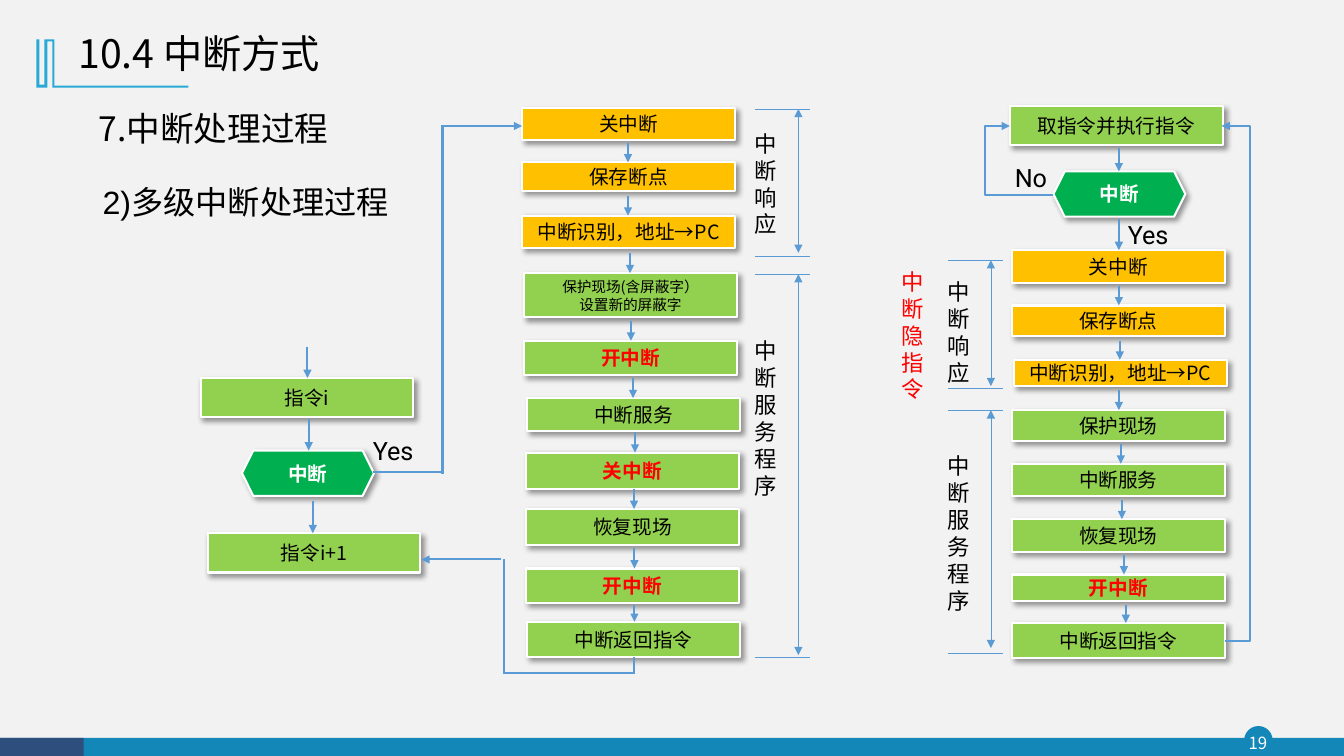
"""Builds a slide with flowcharts of multi-level interrupt handling."""
from lxml import etree
from pptx import Presentation
from pptx import util as u
from pptx.dml.color import RGBColor
from pptx.enum import shapes, text
from pptx.oxml import ns

BLACK, WHITE = RGBColor(0, 0, 0), RGBColor(255, 255, 255)
RED, ORANGE = RGBColor(255, 0, 0), RGBColor(0xFF, 0xC0, 0)
LIME, GREEN = RGBColor(0x92, 0xD0, 0x50), RGBColor(0, 0xB0, 0x50)
ARROW_BLUE, SKY = RGBColor(0x5B, 0x9B, 0xD5), RGBColor(0x28, 0xA9, 0xD6)
TEAL, NAVY = RGBColor(0x13, 0x87, 0xB7), RGBColor(0x2E, 0x4E, 0x7E)
PAPER = RGBColor(0xF2, 0xF2, 0xF2)
CJK, CJK_JP = "Noto Sans CJK SC", "Noto Sans CJK JP"
RECT, HEXAGON = shapes.MSO_SHAPE.RECTANGLE, shapes.MSO_SHAPE.HEXAGON
OVAL = shapes.MSO_SHAPE.OVAL

STYLES = {
    "respond": (RECT, 152, ORANGE, BLACK, {"size": u.Pt(14)}),
    "serve": (RECT, 152, LIME, BLACK, {"size": u.Pt(14)}),
    "switch": (RECT, 152, LIME, RED, {"size": u.Pt(14), "bold": True}),
    "mask": (RECT, 152, LIME, BLACK, {"size": u.Pt(10.5)}),
    "test": (HEXAGON, 94.3, GREEN, WHITE, {"size": u.Pt(14), "bold": True}),
}

# style, label, left, top, height, x of the arrow into the step, arrow length
STEPS = [
    ("serve", "指令i", 143.3, 270, 28.1, 219.6, 22.3),
    ("test", "中断", 172.8, 321.8, 32.4, 220.5, 22.3),
    ("serve", "指令i+1", 148.3, 380.9, 28.1, 223.5, 23),
    ("respond", "关中断", 373, 77, 23, None, 0),
    ("respond", "保存断点", 373, 116, 20.2, 448.6, 13.7),
    ("respond", "中断识别，地址→PC", 373, 154.1, 23, 448.6, 14.4),
    ("mask", "保护现场(含屏蔽字）\n设置新的屏蔽字", 374.4, 195.1, 31.7, 450, 14.4),
    ("switch", "开中断", 374.4, 243.4, 24.5, 450.7, 14.4),
    ("serve", "中断服务", 376.6, 284.4, 23.8, 452.2, 14.4),
    ("switch", "关中断", 375.8, 323.3, 25.9, 453.6, 14.4),
    ("serve", "恢复现场", 375.8, 363.6, 25.9, 452.9, 14.4),
    ("switch", "开中断", 375.8, 406.1, 24.5, 453.2, 14.4),
    ("serve", "中断返回指令", 376.6, 444.2, 25.2, 453.2, 12.2),
    ("serve", "取指令并执行指令", 721.4, 75.6, 28.1, None, 0),
    ("test", "中断", 752.4, 122.4, 32.4, 799.2, 16.6),
    ("respond", "关中断", 722.9, 178.6, 23.8, 799.2, 22),
    ("respond", "保存断点", 722.9, 218.2, 21.6, 799.2, 14),
    ("respond", "中断识别，地址→PC", 724.3, 257, 18.7, 799.9, 13.7),
    ("serve", "保护现场", 722.9, 293, 22.3, 799.2, 14.4),
    ("serve", "中断服务", 722.9, 331.2, 23, 800.6, 13.7),
    ("serve", "恢复现场", 722.9, 370.8, 23.8, 801.4, 14),
    ("switch", "开中断", 722.9, 410.4, 18.7, 802.8, 14),
    ("serve", "中断返回指令", 722.9, 445, 25.2, 804.2, 13),
]

# label, left, top, width, height, font name, size, colour
LABELS = [
    ("7.中断处理过程", 63.4, 73.4, 205.9, 36, CJK_JP, 24, BLACK),
    ("2)多级中断处理过程", 66.2, 126.7, 241.2, 35.3, "Arial", 23, BLACK),
    ("Yes", 259.2, 307.4, 58.3, 28.8, "Roboto", 18, BLACK),
    ("Yes", 798.5, 153.4, 58.3, 28.8, "Roboto", 18, BLACK),
    ("No", 717.8, 112.3, 45.4, 28.8, "Roboto", 18, BLACK),
    ("中断\n响应", 532.1, 89.3, 33.8, 85, CJK, 16, BLACK),
    ("中断\n服务程序", 532.1, 237.6, 33.8, 194.4, CJK, 16, BLACK),
    ("中断\n响应", 669.6, 195.1, 33.8, 84.2, CJK, 16, BLACK),
    ("中断隐指令", 637.2, 187.9, 33.8, 103.2, CJK, 16, RED),
    ("中断\n服务程序", 669.6, 319.7, 33.8, 123.8, CJK, 16, BLACK),
]

# left, top rule, bottom rule, arrow end
BRACKETS = [(539.3, 77.8, 182.9, 180.7), (539.3, 195.8, 469.4, 468),
            (676.8, 185.8, 277.2, 275.8), (676.8, 293, 466.6, 463)]

# corner points, arrow on the last leg
ROUTES = [
    [(266.4, 337), (316.1, 337)],
    [(316.1, 338.4), (316.1, 89.3)],
    [(316.1, 90), (373, 90), "arrow"],
    [(452.9, 469.4), (452.9, 481.7)],
    [(453.6, 481), (360, 481)],
    [(360, 481.7), (360, 399.6)],
    [(357.8, 399.6), (301, 399.6), "arrow"],
]
# start, end, x of the middle leg
LOOPS = [((874.8, 457.9), (872.6, 90), 892.8), ((752.4, 139), (721.4, 90), 703.4)]

ORNAMENT = [(38.9, 28.1), (38.9, 61.2), (134.6, 61.2), (134.6, 62.6), (37.4, 62.6),
            (37.4, 29.5), (33.8, 29.5), (33.8, 62.6), (25.9, 62.6), (25.9, 28.1),
            (28.1, 28.1), (28.1, 60.5), (31.7, 60.5), (31.7, 28.1)]


def add_child(parent, tag, **values):
    child = etree.SubElement(parent, ns.qn(tag))
    for name, value in values.items():
        child.set(name, str(value))
    return child


def write(box, words, color, name=CJK, align=text.PP_ALIGN.LEFT,
          anchor=text.MSO_ANCHOR.TOP, inset=7.2, spacing=None, **formats):
    frame = box.text_frame
    settings = {"word_wrap": True, "vertical_anchor": anchor,
                "margin_left": u.Pt(inset), "margin_right": u.Pt(inset),
                "margin_top": u.Pt(inset / 2), "margin_bottom": u.Pt(inset / 2)}
    for key, value in settings.items():
        setattr(frame, key, value)
    for index, line in enumerate(words.split("\n")):
        para = frame.add_paragraph() if index else frame.paragraphs[0]
        para.alignment = align
        para.line_spacing = spacing or u.Pt(round(formats["size"].pt * 1.2, 1))
        span = para.add_run()
        span.text = line
        for key, value in {"name": name, **formats}.items():
            setattr(span.font, key, value)
        span.font.color.rgb = color
        east = CJK if name in ("Arial", "Roboto") else name
        add_child(span._r.get_or_add_rPr(), "a:ea", typeface=east)


def paint(shape, fill, line=None, width=1):
    shape.shadow.inherit = False
    shape.fill.solid()
    shape.fill.fore_color.rgb = fill
    if line is None:
        shape.line.fill.background()
    else:
        shape.line.color.rgb = line
        shape.line.width = u.Pt(width)


def add_shape(page, kind, bounds, fill, line=None, width=1):
    shape = page.shapes.add_shape(kind, *map(u.Pt, bounds))
    paint(shape, fill, line, width)
    return shape


def add_line(page, start, end, width=1.5, head=False, tail=False, middle=None):
    kind = shapes.MSO_CONNECTOR.STRAIGHT if middle is None else shapes.MSO_CONNECTOR.ELBOW
    line = page.shapes.add_connector(kind, *map(u.Pt, (*start, *end)))
    line.line.color.rgb = ARROW_BLUE
    line.line.width = u.Pt(width)
    properties = line.element.spPr
    stroke = properties.find(ns.qn("a:ln"))
    for tag, wanted in (("a:headEnd", head), ("a:tailEnd", tail)):
        if wanted:
            add_child(stroke, tag, type="triangle")
    add_child(properties, "a:effectLst")
    if middle is not None:
        share = round((middle - start[0]) / (end[0] - start[0]) * 100000)
        guides = properties.find(ns.qn("a:prstGeom")).find(ns.qn("a:avLst"))
        add_child(guides, "a:gd", name="adj1", fmla=f"val {share}")


def add_step(page, style, label, left, top, height):
    kind, width, fill, color, formats = STYLES[style]
    step = add_shape(page, kind, (left, top, width, height), fill, WHITE, 1.5)
    effects = step.element.spPr.find(ns.qn("a:effectLst"))
    shadow = add_child(effects, "a:outerShdw", blurRad=u.Pt(4), dist=u.Pt(3),
                       dir=45 * 60000, algn="tl", rotWithShape=0)
    add_child(add_child(shadow, "a:srgbClr", val="000000"), "a:alpha", val=40000)
    write(step, label, color, align=text.PP_ALIGN.CENTER,
          anchor=text.MSO_ANCHOR.MIDDLE, inset=3.6, **formats)


def add_frame(page):
    add_shape(page, OVAL, (889.2, 519.1, 19.4, 19.4), TEAL, TEAL)
    add_shape(page, RECT, (0, 527, 960, 13), TEAL)
    add_shape(page, RECT, (0, 527, 59.8, 13), NAVY)
    number = page.shapes.add_textbox(*map(u.Pt, (887, 519.1, 23, 22.3)))
    write(number, "19", WHITE, align=text.PP_ALIGN.CENTER,
          anchor=text.MSO_ANCHOR.MIDDLE, inset=0, size=u.Pt(12))
    builder = page.shapes.build_freeform(*map(u.Pt, ORNAMENT[0]))
    builder.add_line_segments([(u.Pt(x), u.Pt(y)) for x, y in ORNAMENT[1:]])
    paint(builder.convert_to_shape(), SKY)
    title = page.shapes.add_textbox(*map(u.Pt, (49, 15.1, 323.3, 49)))
    write(title, "10.4 中断方式", BLACK, anchor=text.MSO_ANCHOR.MIDDLE,
          spacing=0.9, size=u.Pt(28))


def main():
    deck = Presentation()
    deck.slide_width, deck.slide_height = u.Pt(960), u.Pt(540)
    page = deck.slides.add_slide(deck.slide_layouts[6])
    page.background.fill.solid()
    page.background.fill.fore_color.rgb = PAPER
    add_frame(page)
    for *step, arrow_x, length in STEPS:
        add_step(page, *step)
    for _, _, _, top, _, arrow_x, length in STEPS:
        if arrow_x is not None:
            add_line(page, (arrow_x, top - length), (arrow_x, top), tail=True)
    for start, end, *arrow in ROUTES:
        add_line(page, start, end, tail=bool(arrow))
    for start, end, middle in LOOPS:
        add_line(page, start, end, tail=True, middle=middle)
    for left, top, bottom, tip in BRACKETS:
        for y in (top, bottom):
            add_line(page, (left, y), (left + 39.6, y), 0.5)
        add_line(page, (left + 31, top), (left + 31, tip), 0.5, head=True, tail=True)
    for label, left, top, width, height, name, size, color in LABELS:
        box = page.shapes.add_textbox(*map(u.Pt, (left, top, width, height)))
        write(box, label, color, name, size=u.Pt(size))
    deck.save("out.pptx")


if __name__ == "__main__":
    main()
